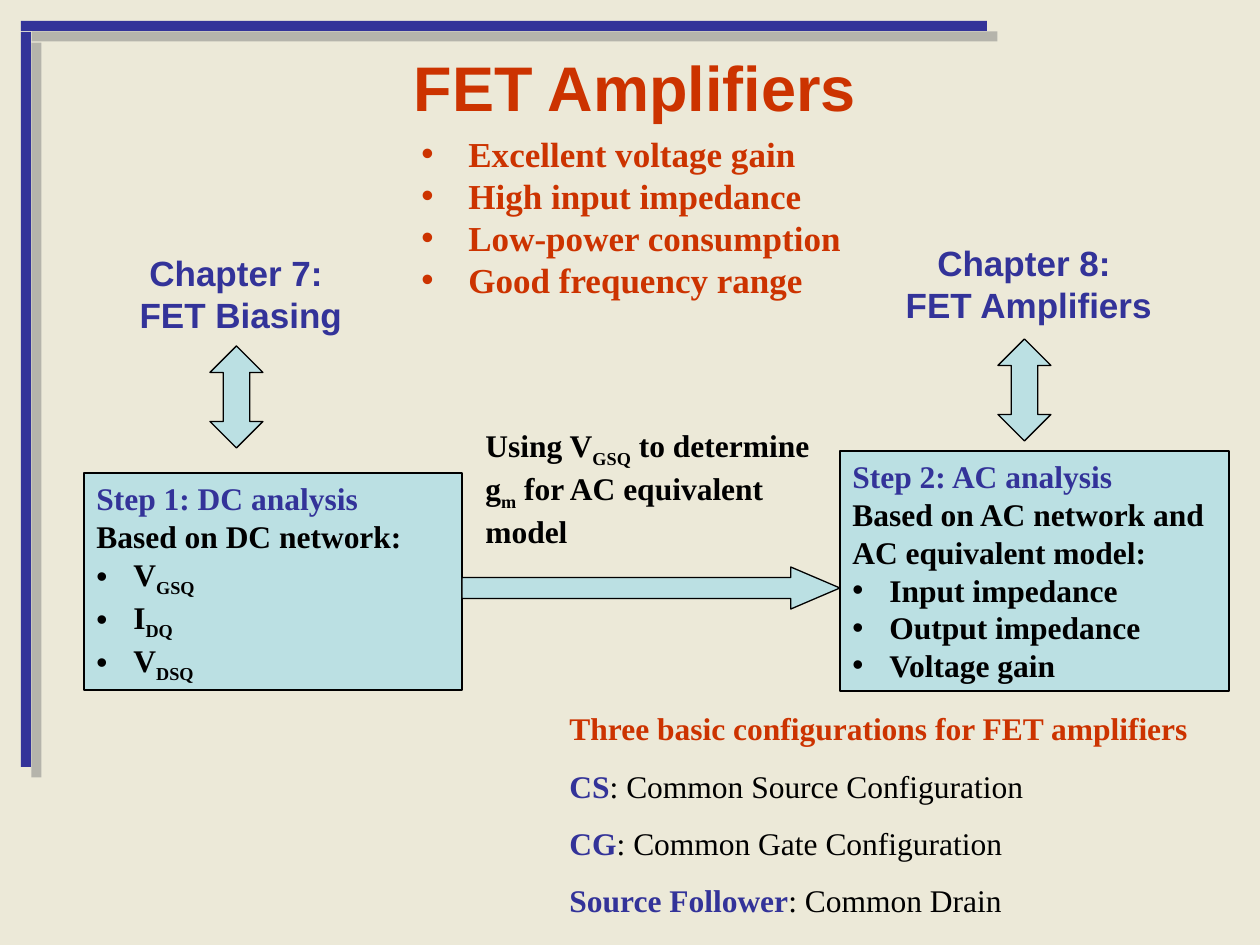
from lxml.etree import SubElement
from pptx import Presentation
from pptx.dml.color import RGBColor
from pptx.enum.shapes import MSO_SHAPE
from pptx.enum.text import MSO_ANCHOR, PP_ALIGN
from pptx.oxml import parse_xml
from pptx.oxml.ns import nsdecls, qn
from pptx.util import Pt

PX = 914400 / 126
BLUE, RED, BLACK, PALE = "333399", "CC3300", "000000", "BBE0E3"
SERIF, SANS = "Times New Roman", "Arial"

presentation = Presentation()
presentation.slide_width = round(1260 * PX)
presentation.slide_height = round(945 * PX)
slide = presentation.slides.add_slide(presentation.slide_layouts[6])
slide.background.fill.solid()
slide.background.fill.fore_color.rgb = RGBColor.from_string("ECE9D8")


def add_box(kind, box, fill=None):
    """Add a preset shape, or a text box when kind is None; box is in px."""
    box = [round(value * PX) for value in box]
    if kind is None:
        return slide.shapes.add_textbox(*box)
    shape = slide.shapes.add_shape(kind, *box)
    shape.shadow.inherit = False
    shape.fill.solid()
    shape.fill.fore_color.rgb = RGBColor.from_string(fill)
    shape.line.color.rgb = RGBColor.from_string(BLACK)
    shape.line.width = Pt(0.75)
    return shape


def write(shape, lines, size, font=SERIF, align=PP_ALIGN.LEFT, anchor=MSO_ANCHOR.TOP, indent=37):
    """Fill a shape with (text, colour, bulleted) lines; "|" switches subscript on and off."""
    frame = shape.text_frame
    frame.word_wrap = True
    frame.vertical_anchor = anchor
    for index, (text, colour, bulleted) in enumerate(lines):
        paragraph = frame.add_paragraph() if index else frame.paragraphs[0]
        paragraph.alignment = align
        if bulleted:
            properties = paragraph._p.get_or_add_pPr()
            properties.set("marL", str(round(indent * PX)))
            properties.set("indent", str(round(-indent * PX)))
            SubElement(properties, qn("a:buFont"), typeface=SANS)
            SubElement(properties, qn("a:buChar"), char="•")
        paragraph.font.size = Pt(size)
        paragraph.font.name = font
        paragraph.font.bold = True
        paragraph.font.color.rgb = RGBColor.from_string(colour)
        if "|" not in text:
            paragraph.text = text
            continue
        for position, part in enumerate(text.split("|")):
            run = paragraph.add_run()
            run.text = part
            if position % 2:
                run._r.get_or_add_rPr().set("baseline", "-25000")
    return frame


# Corner bars with an offset shadow
for bar_box in [(21, 21, 966, 10), (21, 32, 10, 735)]:
    bar = add_box(MSO_SHAPE.RECTANGLE, bar_box, BLUE)
    bar.line.fill.background()
    effects = bar._element.spPr.find(qn("a:effectLst"))
    effects.append(parse_xml(
        f'<a:outerShdw {nsdecls("a")} dist="107950" dir="2700000" algn="ctr" rotWithShape="0">'
        '<a:srgbClr val="808080"><a:alpha val="50000"/></a:srgbClr></a:outerShdw>'))

# Title and advantages
write(add_box(None, (189, 42, 892, 88)), [("FET Amplifiers", RED, False)], 36, SANS, PP_ALIGN.CENTER)
advantages = ["Excellent voltage gain", "High input impedance",
              "Low-power consumption", "Good frequency range"]
write(add_box(None, (409, 126, 473, 181)), [(text, RED, True) for text in advantages], 20, indent=47)

# Chapter headings, each with its double arrow
chapters = [
    ("Chapter 7:\v FET Biasing", (63, 231, 346, 126), (210, 346, 53, 102)),
    ("Chapter 8:\v FET Amplifiers", (819, 231, 410, 105), (998, 339, 53, 102)),
]
for heading, heading_box, arrow_box in chapters:
    write(add_box(None, heading_box), [(heading, BLUE, False)], 20, SANS,
          PP_ALIGN.CENTER, MSO_ANCHOR.MIDDLE)
    arrow = add_box(MSO_SHAPE.UP_DOWN_ARROW, arrow_box, PALE)
    arrow.adjustments[0] = 0.39
    arrow.adjustments[1] = 0.5

# Analysis steps
steps = [
    ((84, 473, 378, 217), "Step 1: DC analysis", "Based on DC network:",
     ["V|GSQ", "I|DQ", "V|DSQ"]),
    ((840, 451, 389, 240), "Step 2: AC analysis", "Based on AC network and AC equivalent model:",
     ["Input impedance", "Output impedance", "Voltage gain"]),
]
for step_box, heading, basis, results in steps:
    lines = [(heading, BLUE, False), (basis, BLACK, False)]
    lines += [(result, BLACK, True) for result in results]
    write(add_box(MSO_SHAPE.RECTANGLE, step_box, PALE), lines, 18)

write(add_box(None, (473, 420, 367, 136)),
      [("Using V|GSQ| to determine g|m| for AC equivalent model", BLACK, False)], 18)
step_arrow = add_box(MSO_SHAPE.RIGHT_ARROW, (462, 567, 378, 42), PALE)
step_arrow.adjustments[0] = 0.5
step_arrow.adjustments[1] = 1.17

# Basic configurations
configurations = [
    ("CS", ": Common Source Configuration"),
    ("CG", ": Common Gate Configuration"),
    ("Source Follower", ": Common Drain"),
]
lines = [("Three basic configurations for FET amplifiers", RED, False)]
lines += [(term, BLUE, False) for term, _ in configurations]
frame = write(add_box(None, (557, 703, 651, 223)), lines, 18)
for paragraph, (_, meaning) in zip(frame.paragraphs[1:], configurations):
    paragraph.space_before = Pt(11.2)
    run = paragraph.add_run()
    run.text = meaning
    run.font.bold = False
    run.font.color.rgb = RGBColor.from_string(BLACK)

presentation.save("out.pptx")
